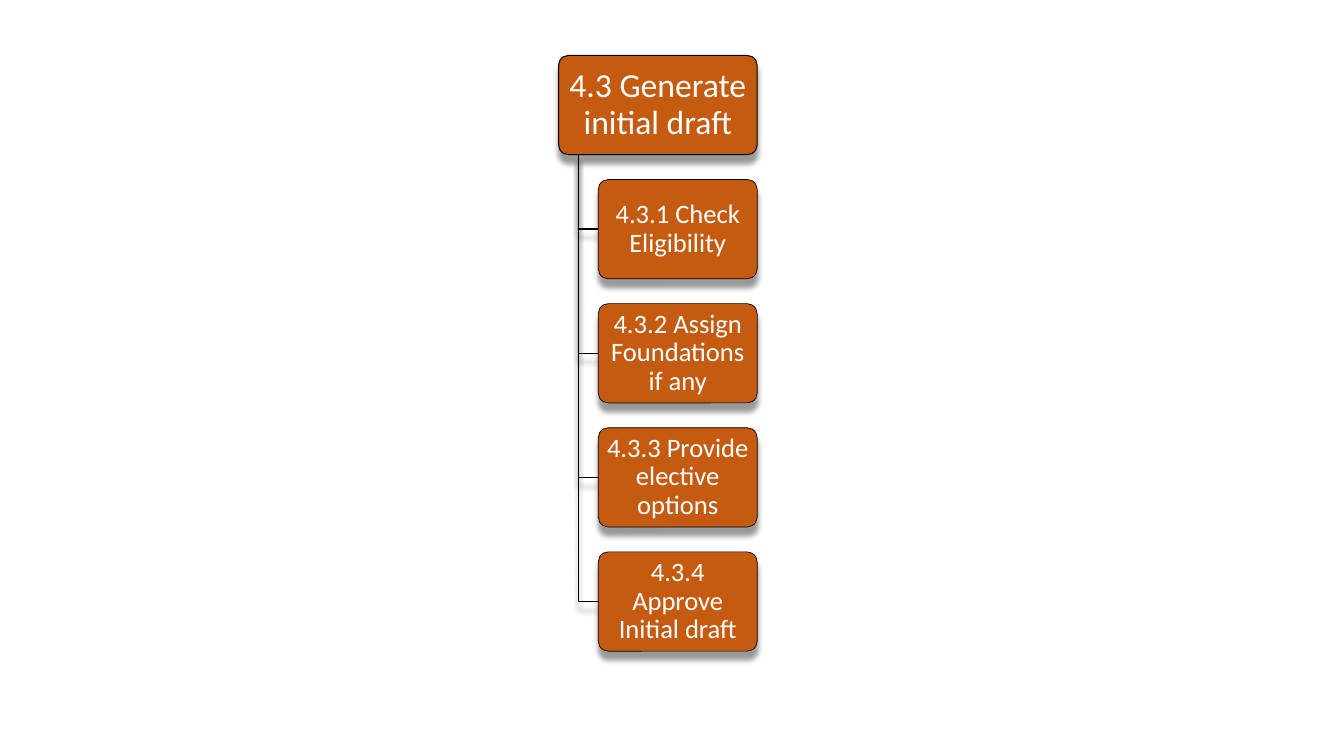
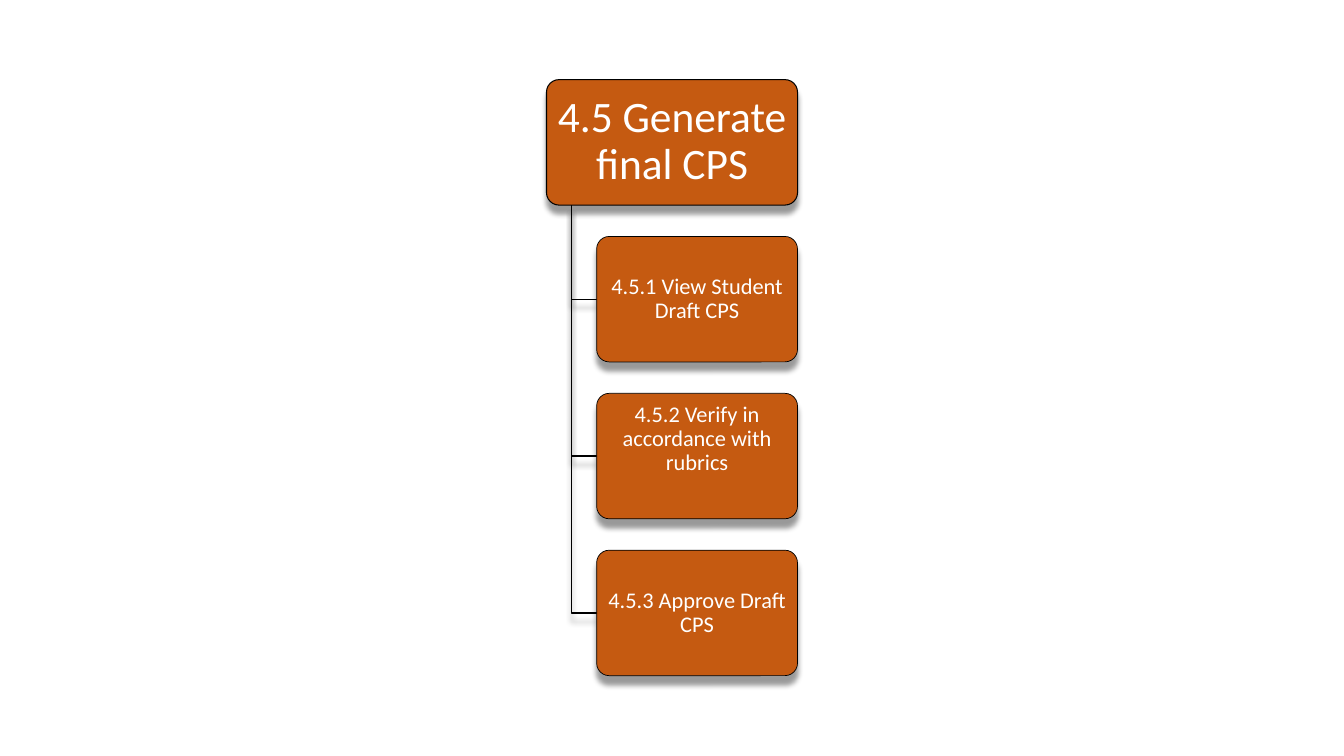
from lxml import etree
from pptx import Presentation
from pptx.dml.color import RGBColor
from pptx.enum.shapes import MSO_SHAPE
from pptx.enum.text import MSO_ANCHOR, PP_ALIGN
from pptx.oxml.ns import qn
from pptx.util import Inches, Pt

ROUNDED = MSO_SHAPE.ROUNDED_RECTANGLE
MIDDLE = MSO_ANCHOR.MIDDLE
CENTER = PP_ALIGN.CENTER

ORANGE, BLACK, WHITE = "C55A11", "000000", "FFFFFF"
FONT = "Calibri"

TREES = [
    dict(left=5.54, top=0.55, width=1.97,
         root="4.3 Generate initial draft", root_size=24, root_inset=(0.05, 0.03),
         steps=[("4.3.1 Check Eligibility", 0),
                ("4.3.2 Assign Foundations if any", 0),
                ("4.3.3 Provide elective options", 0),
                ("4.3.4 Approve Initial draft", 0)],
         step_size=19, step_inset=(0.04, 0.03)),
    dict(left=5.42, top=0.79, width=2.49,
         root="4.5 Generate final CPS", root_size=31, root_inset=(0.06, 0.04),
         steps=[("4.5.1 View Student Draft CPS", 0),
                ("4.5.2 Verify in accordance with rubrics", 0.33),
                ("4.5.3 Approve Draft CPS", 0)],
         step_size=16, step_inset=(0.03, 0.02)),
]


def rgb(value):
    return RGBColor.from_string(value)


def add_shadow(sp):
    sp.shadow.inherit = False
    effects = sp._element.spPr.find(qn("a:effectLst"))
    outer = etree.SubElement(effects, qn("a:outerShdw"), blurRad=str(Pt(4)),
                             dist=str(Pt(6)), dir="5400000", rotWithShape="0")
    color = etree.SubElement(outer, qn("a:srgbClr"), val=BLACK)
    etree.SubElement(color, qn("a:alpha"), val="40000")


def outline(sp, weight):
    sp.line.color.rgb = rgb(BLACK)
    sp.line.width = Pt(weight)
    add_shadow(sp)


def write(sp, text, size, inset, lift=0):
    tf = sp.text_frame
    tf.word_wrap = True
    tf.vertical_anchor = MIDDLE
    across, down = inset
    tf.margin_left = tf.margin_right = Inches(across)
    tf.margin_top = Inches(down)
    tf.margin_bottom = Inches(down + lift)
    p = tf.paragraphs[0]
    p.alignment = CENTER
    p.line_spacing = 0.9
    r = p.add_run()
    r.text = text
    r.font.name = FONT
    r.font.size = Pt(size)
    r.font.color.rgb = rgb(WHITE)


def add_box(s, x, y, w, h, weight, **text):
    sp = s.shapes.add_shape(ROUNDED, Inches(x), Inches(y), Inches(w), Inches(h))
    sp.adjustments[0] = 0.1
    sp.fill.solid()
    sp.fill.fore_color.rgb = rgb(ORANGE)
    outline(sp, weight)
    write(sp, **text)


def add_elbow(s, x, y, x_end, y_end):
    path_builder = s.shapes.build_freeform(Inches(x), Inches(y))
    path_builder.add_line_segments([(Inches(x), Inches(y_end)),
                                    (Inches(x_end), Inches(y_end))], close=False)
    sp = path_builder.convert_to_shape()
    sp.fill.background()
    outline(sp, 1)


def add_tree(s, tree):
    x, y, w = tree["left"], tree["top"], tree["width"]
    h = w / 2
    pitch = 1.25 * h
    trunk, step_x = x + 0.1 * w, x + 0.2 * w
    add_box(s, x, y, w, h, 0.75, text=tree["root"], size=tree["root_size"],
            inset=tree["root_inset"])
    for i, (text, lift) in enumerate(tree["steps"], 1):
        step_y = y + i * pitch
        add_elbow(s, trunk, y + h, step_x, step_y + h / 2)
        add_box(s, step_x, step_y, 0.8 * w, h, 0.5, text=text,
                size=tree["step_size"], inset=tree["step_inset"], lift=lift)


prs = Presentation()
prs.slide_width, prs.slide_height = Inches(13.33), Inches(7.5)
for tree in TREES:
    add_tree(prs.slides.add_slide(prs.slide_layouts[6]), tree)
prs.save("out.pptx")
